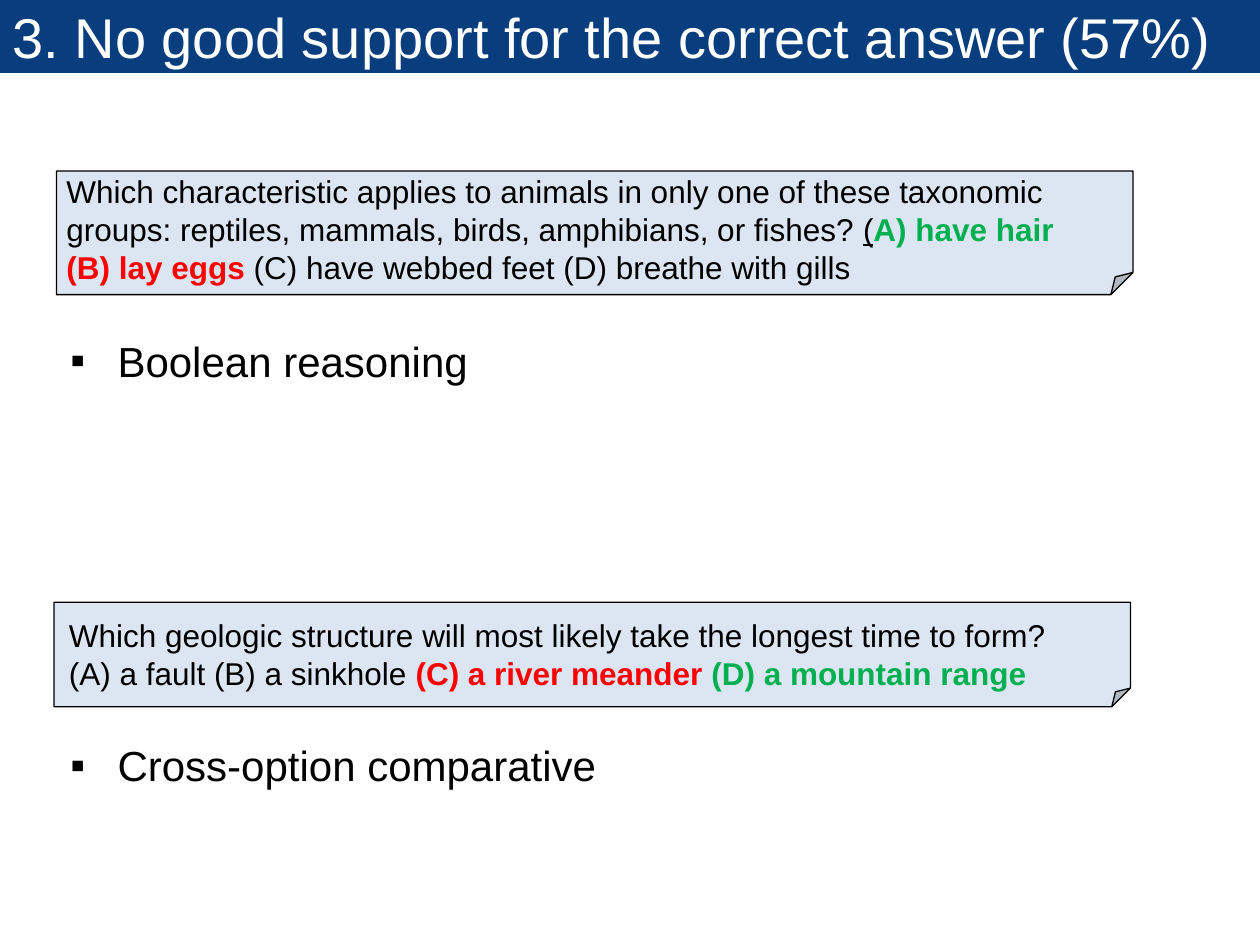
from dataclasses import dataclass

from lxml.etree import SubElement
from pptx import Presentation
from pptx.dml.color import RGBColor as Color
from pptx.enum.shapes import MSO_SHAPE as Shape
from pptx.enum.text import MSO_ANCHOR as Anchor, MSO_AUTO_SIZE as AutoSize, PP_ALIGN as Align
from pptx.oxml.ns import qn
from pptx.util import Cm, Pt


@dataclass(frozen=True)
class Theme:
    """Colours, font and type sizes of the slide."""
    font: str = "Arial"
    banner: Color = Color(0x08, 0x3D, 0x7E)
    card: Color = Color(0xDC, 0xE6, 0xF2)
    white: Color = Color(0xFF, 0xFF, 0xFF)
    text: Color = Color(0x00, 0x00, 0x00)
    wrong: Color = Color(0xFF, 0x00, 0x00)
    correct: Color = Color(0x00, 0xB0, 0x50)
    title_size: Pt = Pt(32)
    question_size: Pt = Pt(18)
    bullet_size: Pt = Pt(24)


THEME = Theme()


def add_run(paragraph, text, size, color=THEME.text, bold=False, underline=False):
    """Append one formatted run to a paragraph."""
    run = paragraph.add_run()
    run.text = text
    font = run.font
    font.name, font.size, font.bold, font.underline = THEME.font, size, bold, underline
    font.color.rgb = color


def set_title(slide, text):
    """Turn the title placeholder into the banner across the top."""
    title = slide.shapes.title
    title.left, title.top, title.width, title.height = Cm(0), Cm(0), Cm(25.4), Cm(1.47)
    title.fill.solid()
    title.fill.fore_color.rgb = THEME.banner
    frame = title.text_frame
    frame.auto_size = AutoSize.NONE
    frame.vertical_anchor = Anchor.MIDDLE
    paragraph = frame.paragraphs[0]
    paragraph.alignment = Align.LEFT
    add_run(paragraph, text, THEME.title_size, THEME.white)


def add_card(slide, left, top, width, height):
    """Add the folded note behind a question."""
    card = slide.shapes.add_shape(Shape.FOLDED_CORNER, Cm(left), Cm(top), Cm(width), Cm(height))
    geometry = card._element.spPr.find(qn("a:prstGeom"))
    SubElement(geometry.get_or_add_avLst(), qn("a:gd"), name="adj", fmla="val 17900")
    card.shadow.inherit = False
    card.fill.solid()
    card.fill.fore_color.rgb = THEME.card
    card.line.color.rgb = THEME.text
    card.line.width = Pt(0.75)


def add_text_box(slide, left, top, width, height):
    """Add a wrapping text box and return its text frame."""
    box = slide.shapes.add_textbox(Cm(left), Cm(top), Cm(width), Cm(height))
    box.text_frame.word_wrap = True
    return box.text_frame


def add_question(slide, left, top, height, parts):
    """Add a question whose parts are pairs of text and run formatting."""
    frame = add_text_box(slide, left, top, 20.7, height)
    frame.auto_size = AutoSize.SHAPE_TO_FIT_TEXT
    for text, style in parts:
        add_run(frame.paragraphs[0], text, THEME.question_size, **style)


def add_bullet(slide, top, text):
    """Add a single bulleted line naming the reasoning type."""
    paragraph = add_text_box(slide, 1.17, top, 23.3, 1.63).paragraphs[0]
    properties = paragraph._p.get_or_add_pPr()
    indent = Cm(0.95)
    properties.set("marL", str(indent))
    properties.set("indent", str(-indent))
    SubElement(properties, qn("a:buFont"), typeface=THEME.font)
    SubElement(properties, qn("a:buChar"), char="▪")
    add_run(paragraph, text, THEME.bullet_size)


def main():
    """Build the slide and save it."""
    presentation = Presentation()
    presentation.slide_width, presentation.slide_height = Cm(25.4), Cm(19.05)
    slide = presentation.slides.add_slide(presentation.slide_layouts[5])
    correct = {"color": THEME.correct, "bold": True}
    wrong = {"color": THEME.wrong, "bold": True}

    set_title(slide, "3. No good support for the correct answer (57%)")

    add_card(slide, 1.09, 12.14, 21.7, 2.11)
    add_question(slide, 1.14, 12.29, 1.8, [
        ("Which geologic structure will most likely take the longest time to form? "
         "(A) a fault (B) a sinkhole ", {}),
        ("(C) a river meander ", wrong),
        ("(D) a mountain range", correct),
    ])

    add_card(slide, 1.14, 3.45, 21.7, 2.49)
    add_question(slide, 1.09, 3.35, 2.57, [
        ("Which characteristic applies to animals in only one of these taxonomic groups: "
         "reptiles, mammals, birds, amphibians, or fishes? ", {}),
        ("(", {"underline": True}),
        ("A) have hair ", correct),
        ("(B) lay eggs ", wrong),
        ("(C) have webbed feet (D) breathe with gills", {}),
    ])

    add_bullet(slide, 6.63, "Boolean reasoning")
    add_bullet(slide, 14.78, "Cross-option comparative")
    presentation.save("out.pptx")


if __name__ == "__main__":
    main()
